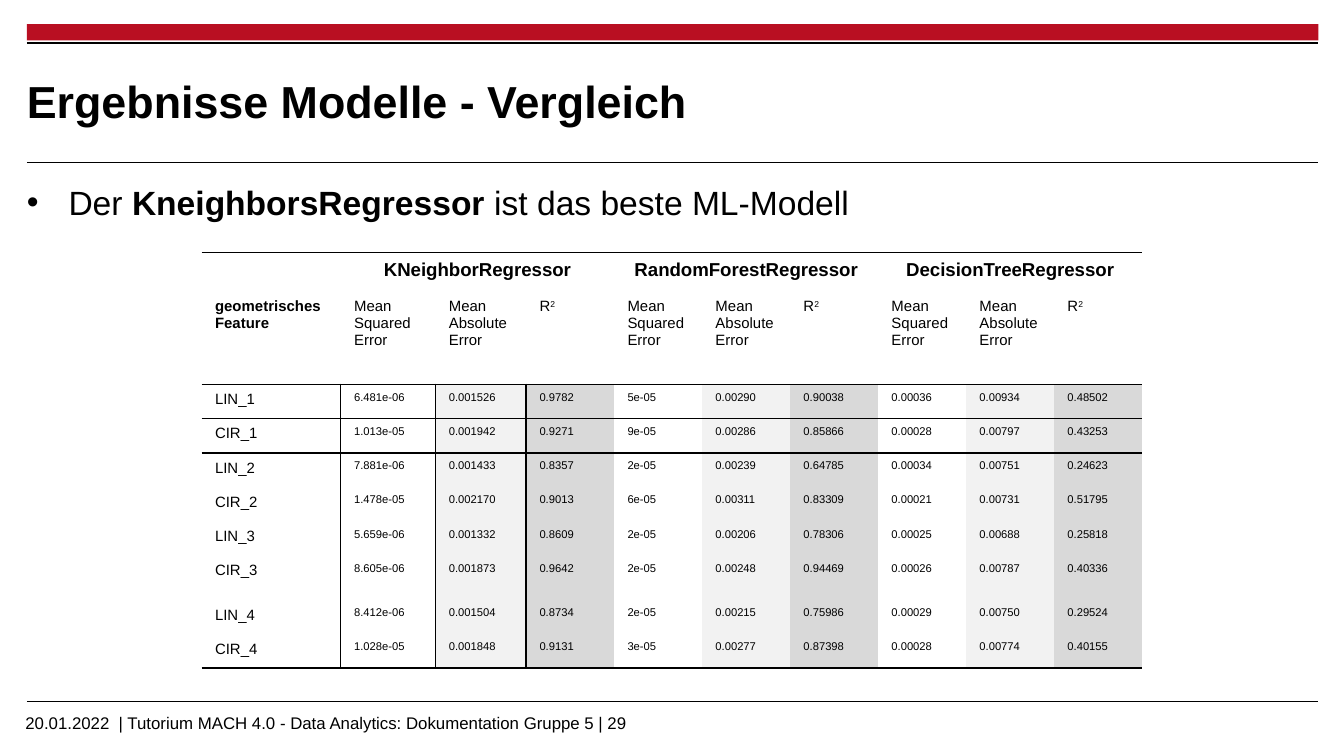
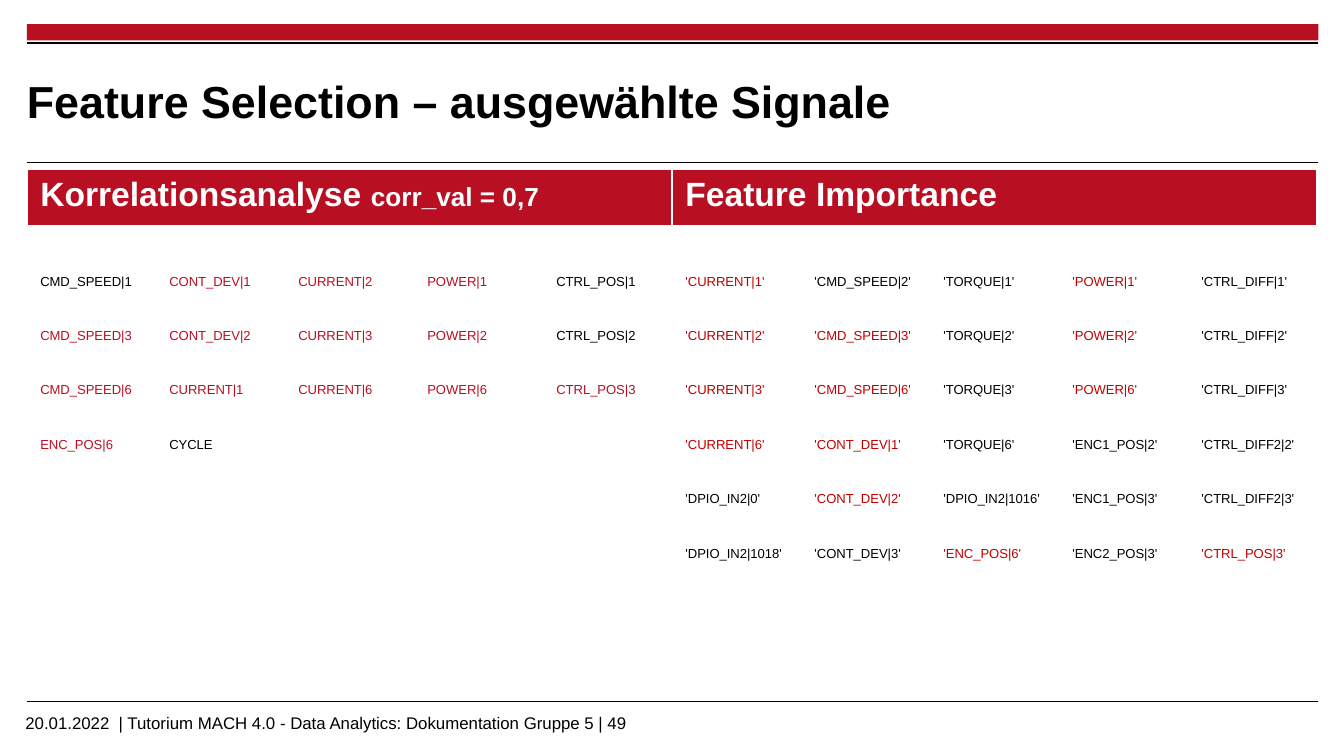
"""Builds two result slides: a model comparison and the selected signals."""
from lxml.etree import SubElement
from pptx import Presentation
from pptx.dml.color import RGBColor
from pptx.enum.shapes import MSO_CONNECTOR as Connector, MSO_SHAPE as Shape
from pptx.enum.text import MSO_ANCHOR as Anchor, PP_ALIGN as Align
from pptx.oxml import parse_xml
from pptx.oxml.ns import nsdecls, qn
from pptx.util import Pt

PX = 4572
FONT = "Arial"
RED = RGBColor(0xB9, 0x0F, 0x22)
DARK_RED = RGBColor(0xC0, 0x00, 0x00)
BLACK = RGBColor(0x00, 0x00, 0x00)
WHITE = RGBColor(0xFF, 0xFF, 0xFF)
LIGHT_GREY = RGBColor(0xF2, 0xF2, 0xF2)
MID_GREY = RGBColor(0xD9, 0xD9, 0xD9)
PLAIN_TABLE = "{2D5ABB26-0587-4C30-8999-92F81FD0307C}"
FOOTER = "20.01.2022  | Tutorium MACH 4.0 - Data Analytics: Dokumentation Gruppe 5 | "

PAGES = [
    ("Ergebnisse Modelle - Vergleich", "29", 1),
    ("Feature Selection – ausgewählte Signale", "49", 5),
]
RULES = [(64, 1.2), (242, 0.6), (1044, 0.6)]

MODELS = ["KNeighborRegressor", "RandomForestRegressor", "DecisionTreeRegressor"]
METRICS = [["Mean Squared", "Error"], ["Mean", "Absolute", "Error"], ["R"]]
SCORES = """
LIN_1 6.481e-06 0.001526 0.9782 5e-05 0.00290 0.90038 0.00036 0.00934 0.48502
CIR_1 1.013e-05 0.001942 0.9271 9e-05 0.00286 0.85866 0.00028 0.00797 0.43253
LIN_2 7.881e-06 0.001433 0.8357 2e-05 0.00239 0.64785 0.00034 0.00751 0.24623
CIR_2 1.478e-05 0.002170 0.9013 6e-05 0.00311 0.83309 0.00021 0.00731 0.51795
LIN_3 5.659e-06 0.001332 0.8609 2e-05 0.00206 0.78306 0.00025 0.00688 0.25818
CIR_3 8.605e-06 0.001873 0.9642 2e-05 0.00248 0.94469 0.00026 0.00787 0.40336
LIN_4 8.412e-06 0.001504 0.8734 2e-05 0.00215 0.75986 0.00029 0.00750 0.29524
CIR_4 1.028e-05 0.001848 0.9131 3e-05 0.00277 0.87398 0.00028 0.00774 0.40155
"""

CORRELATED = """
CMD_SPEED|1 CONT_DEV|1 CURRENT|2 POWER|1 CTRL_POS|1
CMD_SPEED|3 CONT_DEV|2 CURRENT|3 POWER|2 CTRL_POS|2
CMD_SPEED|6 CURRENT|1 CURRENT|6 POWER|6 CTRL_POS|3
ENC_POS|6 CYCLE
"""
IMPORTANT = """
'CURRENT|1' 'CMD_SPEED|2' 'TORQUE|1' 'POWER|1' 'CTRL_DIFF|1'
'CURRENT|2' 'CMD_SPEED|3' 'TORQUE|2' 'POWER|2' 'CTRL_DIFF|2'
'CURRENT|3' 'CMD_SPEED|6' 'TORQUE|3' 'POWER|6' 'CTRL_DIFF|3'
'CURRENT|6' 'CONT_DEV|1' 'TORQUE|6' 'ENC1_POS|2' 'CTRL_DIFF2|2'
'DPIO_IN2|0' 'CONT_DEV|2' 'DPIO_IN2|1016' 'ENC1_POS|3' 'CTRL_DIFF2|3'
'DPIO_IN2|1018' 'CONT_DEV|3' 'ENC_POS|6' 'ENC2_POS|3' 'CTRL_POS|3'
"""


def add_span(para, text, size, color=BLACK, bold=False):
    span = para.add_run()
    span.text = text
    span.font.name = FONT
    span.font.size = Pt(size)
    span.font.bold = bold
    span.font.color.rgb = color
    return span


def add_grid(page, left, top, widths, heights):
    frame = page.shapes.add_table(
        len(heights), len(widths), left * PX, top * PX, sum(widths) * PX, sum(heights) * PX
    )
    grid = frame.table
    grid.first_row = grid.horz_banding = False
    grid._tbl.tblPr.find(qn("a:tableStyleId")).text = PLAIN_TABLE
    for column, width in zip(grid.columns, widths):
        column.width = width * PX
    for row, height in zip(grid.rows, heights):
        row.height = height * PX
    for cell in grid.iter_cells():
        cell.fill.solid()
        cell.fill.fore_color.rgb = WHITE
    return grid


deck = Presentation()
deck.slide_width = 2000 * PX
deck.slide_height = 1125 * PX

for heading, number, layout in PAGES:
    page = deck.slides.add_slide(deck.slide_layouts[layout])

    band = page.shapes.add_shape(Shape.RECTANGLE, 40 * PX, 36 * PX, 1922 * PX, 24 * PX)
    band.shadow.inherit = False
    band.fill.solid()
    band.fill.fore_color.rgb = RED
    band.line.fill.background()

    for y, weight in RULES:
        rule = page.shapes.add_connector(Connector.STRAIGHT, 40 * PX, y * PX, 1962 * PX, y * PX)
        rule.line.color.rgb = BLACK
        rule.line.width = Pt(weight)
        SubElement(rule._element.spPr, qn("a:effectLst"))

    footer = page.shapes.add_textbox(18 * PX, 1050 * PX, 1590 * PX, 38 * PX)
    footer.text_frame.word_wrap = True
    add_span(footer.text_frame.paragraphs[0], FOOTER + number, 9)

    title = page.shapes.title
    title.left, title.top, title.width, title.height = 40 * PX, 80 * PX, 1492 * PX, 138 * PX
    box = title.text_frame
    box.margin_left = box.margin_right = box.margin_top = box.margin_bottom = 0
    box.vertical_anchor = Anchor.MIDDLE
    box.paragraphs[0].alignment = Align.LEFT
    add_span(box.paragraphs[0], heading, 24, bold=True)

comparison, selection = deck.slides

body = comparison.placeholders[1]
body.left, body.top, body.width, body.height = 40 * PX, 260 * PX, 1922 * PX, 734 * PX
box = body.text_frame
box.margin_left = box.margin_right = 0
box.margin_top = box.margin_bottom = 10 * PX
para = box.paragraphs[0]
para.space_before = Pt(2)
para.space_after = Pt(2.2)
indent = para._p.get_or_add_pPr()
indent.set("marL", str(62 * PX))
indent.set("indent", str(-62 * PX))
add_span(para, "Der ", 18)
add_span(para, "KneighborsRegressor", 18, bold=True)
add_span(para, " ist das beste ML-Modell", 18)

borders = []
scores = add_grid(
    comparison, 300, 376, [207, 141, 135] + [131] * 7, [58, 138] + [51] * 5 + [66, 51, 51]
)
add_span(scores.cell(1, 0).text_frame.paragraphs[0], "geometrisches Feature", 8, bold=True)

for group, model in enumerate(MODELS):
    first = 1 + 3 * group
    head = scores.cell(0, first)
    head.merge(scores.cell(0, first + 2))
    para = head.text_frame.paragraphs[0]
    para.alignment = Align.CENTER
    add_span(para, model, 10, bold=True)
    for offset, lines in enumerate(METRICS):
        box = scores.cell(1, first + offset).text_frame
        for index, line in enumerate(lines):
            para = box.add_paragraph() if index else box.paragraphs[0]
            add_span(para, line, 8)
        if lines == ["R"]:
            add_span(para, "2", 8).font._element.set("baseline", "30000")

for row, line in enumerate(SCORES.split("\n")[1:-1], start=2):
    for column, value in enumerate(line.split()):
        cell = scores.cell(row, column)
        add_span(cell.text_frame.paragraphs[0], value, 6 if column else 8)
        if column:
            cell.fill.fore_color.rgb = (WHITE, LIGHT_GREY, MID_GREY)[(column - 1) % 3]

for row in range(10):
    for column in range(10):
        sides = ("T" if row in (0, 2, 3) else "") + ("B" if row in (1, 2, 9) else "")
        if row > 1:
            sides += ("R" if column in (0, 1) else "") + ("L" if column in (1, 2) else "")
        borders.append((scores.cell(row, column), sides, BLACK))
for cell in scores.rows[0].cells:
    cell.fill.background()

methods = add_grid(selection, 40, 252, [960, 960], [84, 692])
for cell in methods.rows[0].cells:
    cell.fill.fore_color.rgb = RED
para = methods.cell(0, 0).text_frame.paragraphs[0]
add_span(para, "Korrelationsanalyse ", 18, WHITE, True)
add_span(para, "corr_val = 0,7", 14, WHITE, True)
add_span(methods.cell(0, 1).text_frame.paragraphs[0], "Feature Importance", 18, WHITE, True)

shared = set(CORRELATED.split()) & set(IMPORTANT.replace("'", "").split())
grids = [scores, methods]
for left, names, accent in [(40, CORRELATED, RED), (1000, IMPORTANT, DARK_RED)]:
    signals = add_grid(selection, left, 398, [192] * 5, [81] * 6)
    grids.append(signals)
    for row, line in enumerate(names.split("\n")[1:-1]):
        for column, name in enumerate(line.split()):
            color = accent if name.strip("'") in shared else BLACK
            add_span(signals.cell(row, column).text_frame.paragraphs[0], name, 7, color)

for grid in grids[1:]:
    borders += [(cell, "LRTB", WHITE) for cell in grid.iter_cells()]

for cell, sides, color in borders:
    properties = cell._tc.get_or_add_tcPr()
    for side in "BTRL":
        if side in sides:
            properties.insert(0, parse_xml(
                f'<a:ln{side} {nsdecls("a")} w="{Pt(1)}"><a:solidFill>'
                f'<a:srgbClr val="{color}"/></a:solidFill></a:ln{side}>'
            ))

for grid in grids:
    for cell in grid.iter_cells():
        if not cell.text_frame.text:
            SubElement(cell.text_frame.paragraphs[0]._p, qn("a:endParaRPr"), sz="700")

deck.save("out.pptx")
